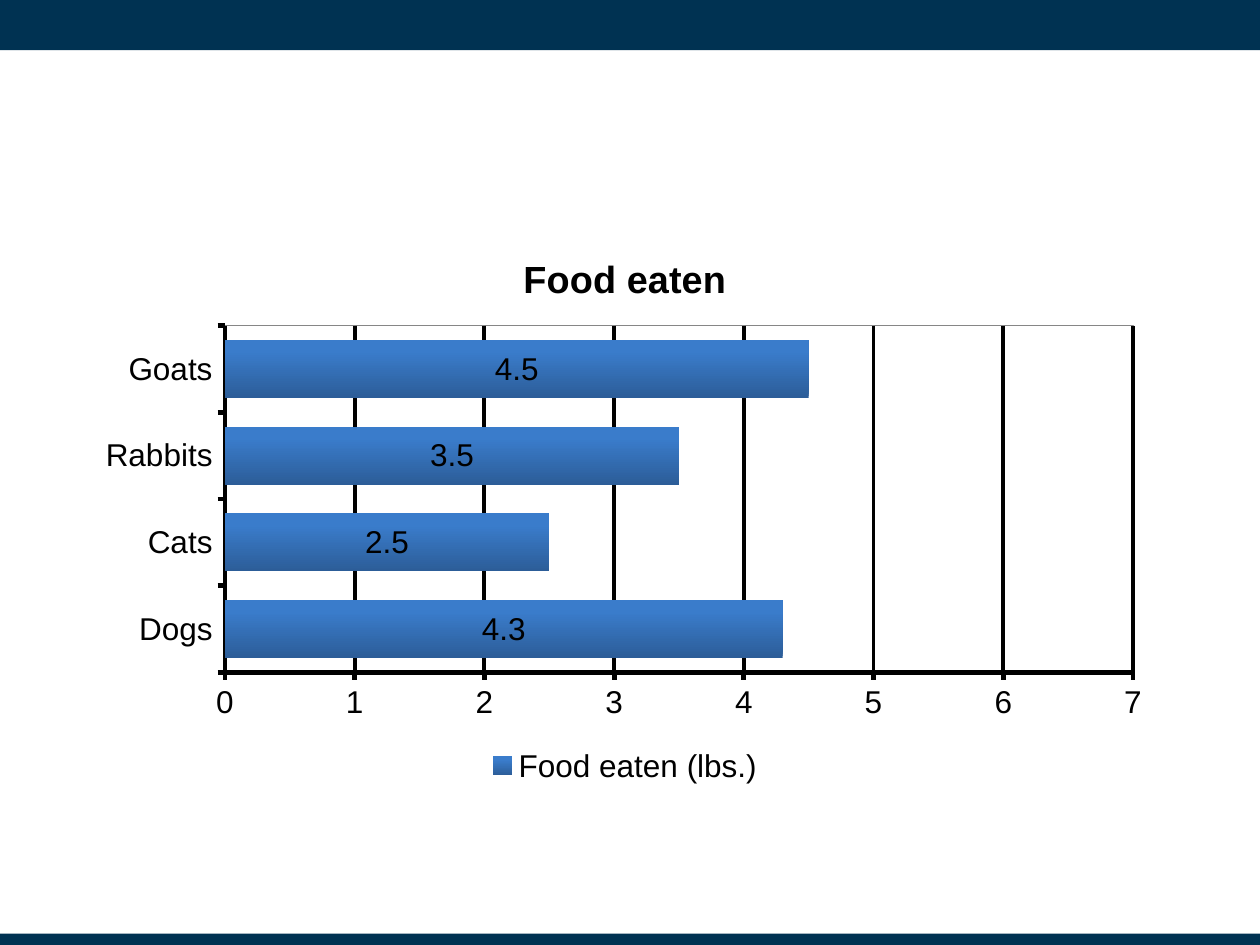
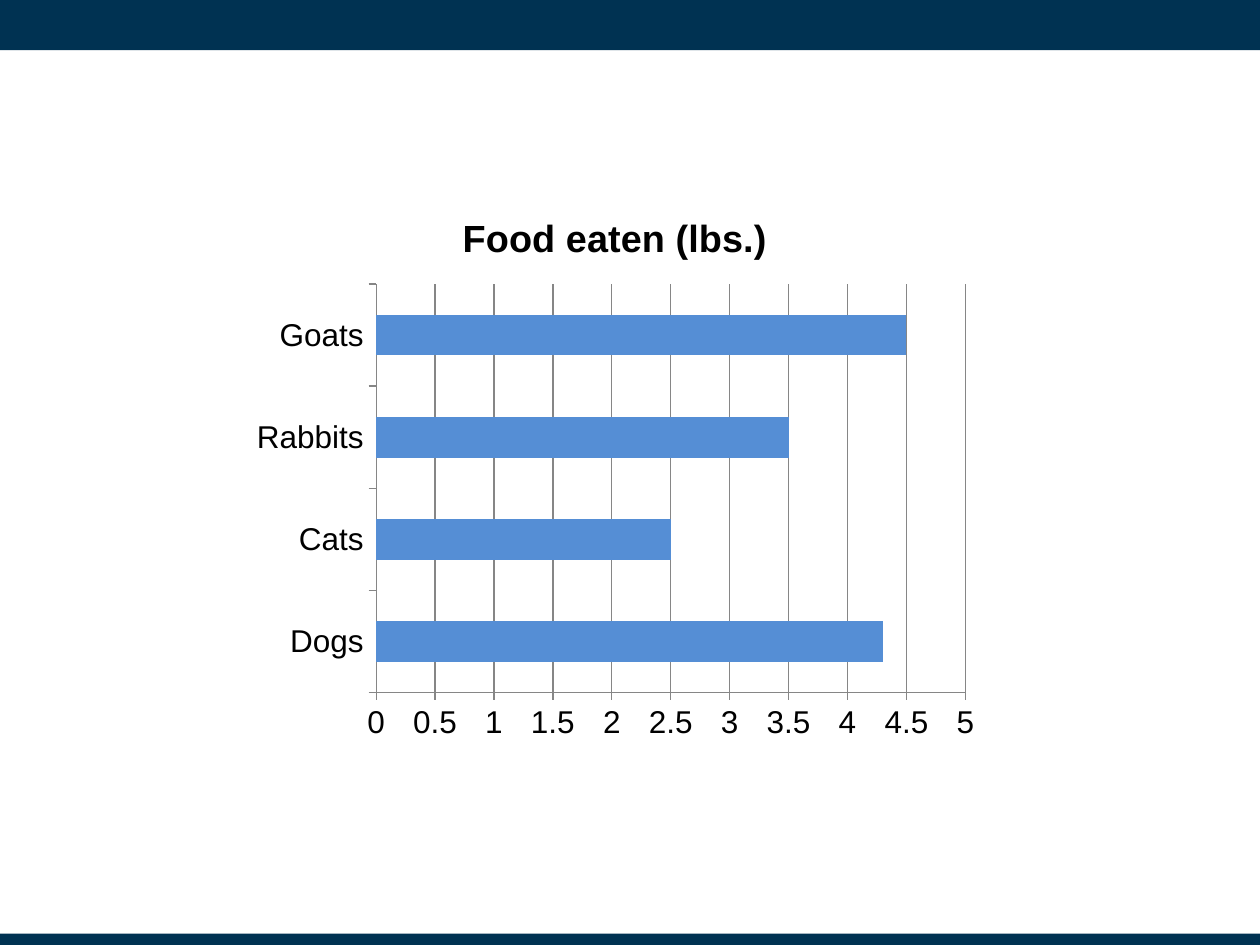
from lxml import etree
from pptx import Presentation
from pptx import util as u
from pptx.chart.data import CategoryChartData
from pptx.dml.color import RGBColor
from pptx.enum import chart as ch, shapes
from pptx.oxml import parse_xml
from pptx.oxml.ns import nsdecls, qn

INK = {"navy": "003252", "black": "000000", "gray": "868686",
       "blue": "558ED5", "deep": "2C5D98", "bright": "3A7CCB"}
FONT = "Arial"
WIDE, HIGH = u.Inches(10), u.Inches(7.5)
FOOD = {"Dogs": 4.3, "Cats": 2.5, "Rabbits": 3.5, "Goats": 4.5}
UNIT = "Food eaten (lbs.)"


def tint(name):
    return RGBColor.from_string(INK[name])


def style(font, size=18, bold=False, ink="black"):
    font.name, font.size, font.bold = FONT, u.Pt(size), bold
    font.color.rgb = tint(ink)


def write(frame, words, **form):
    frame.text = words
    style(frame.paragraphs[0].runs[0].font, **form)


def stroke(line, ink, width):
    line.color.rgb = tint(ink)
    line.width = u.Pt(width)


class Deck:
    def __init__(self):
        self.file = Presentation()
        self.file.slide_width, self.file.slide_height = WIDE, HIGH

    def page(self):
        """Start a slide with the bands that all slides share."""
        self.slide = self.file.slides.add_slide(self.file.slide_layouts[6])
        self.band(0, 0.053)
        self.band(0.988, 0.012)

    def area(self, left, top, width, height):
        """Turn shares of the slide's size into lengths."""
        return (int(left * WIDE), int(top * HIGH),
                int(width * WIDE), int(height * HIGH))

    def band(self, top, height):
        box = self.slide.shapes.add_shape(
            shapes.MSO_SHAPE.RECTANGLE, *self.area(0, top, 1, height))
        box.shadow.inherit = False
        box.fill.solid()
        box.fill.fore_color.rgb = tint("navy")
        box.line.fill.background()

    def bars(self, place, title, plot, gap, top, step, axis, grid):
        """Draw the food chart; axis and grid are (ink, width) pairs."""
        data = CategoryChartData()
        data.categories = list(FOOD)
        data.add_series(UNIT, list(FOOD.values()))
        chart = self.slide.shapes.add_chart(
            ch.XL_CHART_TYPE.BAR_STACKED, *self.area(*place), data).chart
        style(chart.font)
        chart.has_legend = False
        chart.has_title = True
        write(chart.chart_title.text_frame, title, size=21.6, bold=True)
        chart.chart_title.include_in_layout = False
        body = chart.plots[0]
        body.gap_width, body.overlap = gap, 100
        body.vary_by_categories = False
        for side in (chart.category_axis, chart.value_axis):
            side.major_tick_mark = ch.XL_TICK_MARK.OUTSIDE
            side.minor_tick_mark = ch.XL_TICK_MARK.NONE
            stroke(side.format.line, *axis)
        chart.category_axis.has_major_gridlines = False
        scale = chart.value_axis
        scale.minimum_scale, scale.maximum_scale = 0, top
        scale.major_unit = step
        scale.has_major_gridlines = True
        stroke(scale.major_gridlines.format.line, *grid)
        scale.tick_labels.number_format = "General"
        scale.tick_labels.number_format_is_linked = False
        self.fit(chart, plot)
        return chart

    def fit(self, chart, plot):
        """Fix the inner plot area, in shares of the chart's size."""
        zone = chart._chartSpace.find(".//" + qn("c:plotArea"))
        for old in zone.findall(qn("c:layout")):
            zone.remove(old)
        lay = parse_xml(f"<c:layout {nsdecls('c')}><c:manualLayout/></c:layout>")
        marks = [("layoutTarget", "inner"), ("xMode", "edge"),
                 ("yMode", "edge"), *zip("xywh", plot)]
        for tag, value in marks:
            etree.SubElement(lay[0], qn("c:" + tag)).set("val", str(value))
        zone.insert(0, lay)

    def frame(self, chart, ink, width):
        """Outline the plot area."""
        zone = chart._chartSpace.find(".//" + qn("c:plotArea"))
        zone.append(parse_xml(
            f"<c:spPr {nsdecls('c', 'a')}><a:noFill/>"
            f'<a:ln w="{u.Pt(width)}"><a:solidFill><a:srgbClr val="{INK[ink]}"/>'
            "</a:solidFill></a:ln></c:spPr>"))

    def shade(self, fill, low, high):
        fill.gradient()
        fill.gradient_angle = 90
        for stop, ink, at in zip(fill.gradient_stops, (low, high), (0, 0.8)):
            stop.color.rgb = tint(ink)
            stop.position = at

    def label(self, chart):
        """Show the values on the bars and the legend below."""
        tags = chart.plots[0].series[0].data_labels
        tags.show_value = True
        tags.position = ch.XL_LABEL_POSITION.CENTER
        style(tags.font)
        chart.has_legend = True
        chart.legend.position = ch.XL_LEGEND_POSITION.BOTTOM
        chart.legend.include_in_layout = False
        style(chart.legend.font)


def main():
    deck = Deck()

    deck.page()
    rich = deck.bars((0.067, 0.244, 0.858, 0.592), "Food eaten",
                     plot=(0.13, 0.17, 0.84, 0.62), gap=50, top=7, step=1,
                     axis=("black", 2.75), grid=("black", 2.25))
    deck.shade(rich.plots[0].series[0].format.fill, "deep", "bright")
    deck.label(rich)
    deck.frame(rich, "gray", 0.75)

    deck.page()
    plain = deck.bars((0.192, 0.2, 0.592, 0.592), UNIT,
                      plot=(0.18, 0.17, 0.79, 0.73), gap=150, top=5, step=0.5,
                      axis=("gray", 0.75), grid=("gray", 0.75))
    fill = plain.plots[0].series[0].format.fill
    fill.solid()
    fill.fore_color.rgb = tint("blue")

    deck.file.save("out.pptx")


if __name__ == "__main__":
    main()
